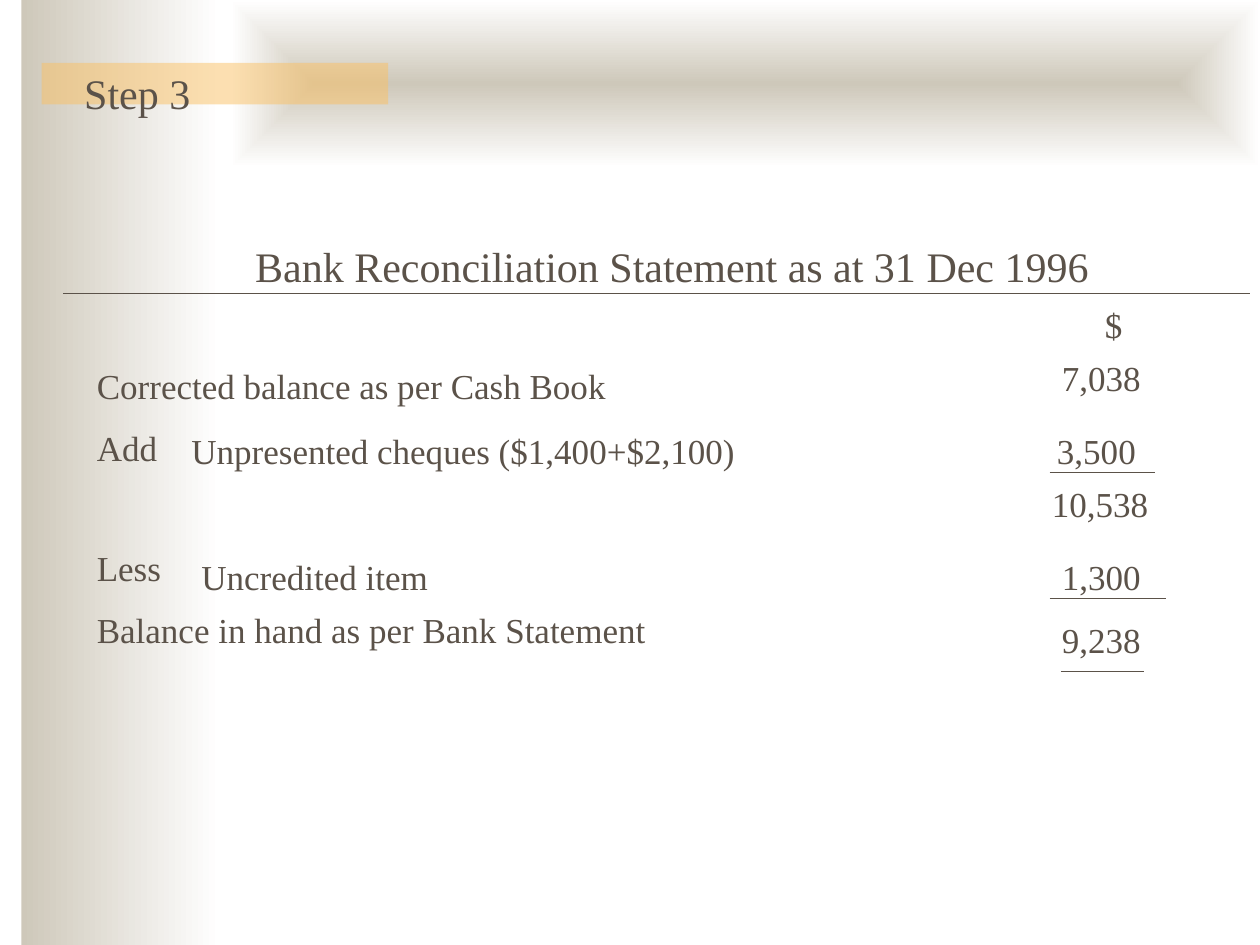
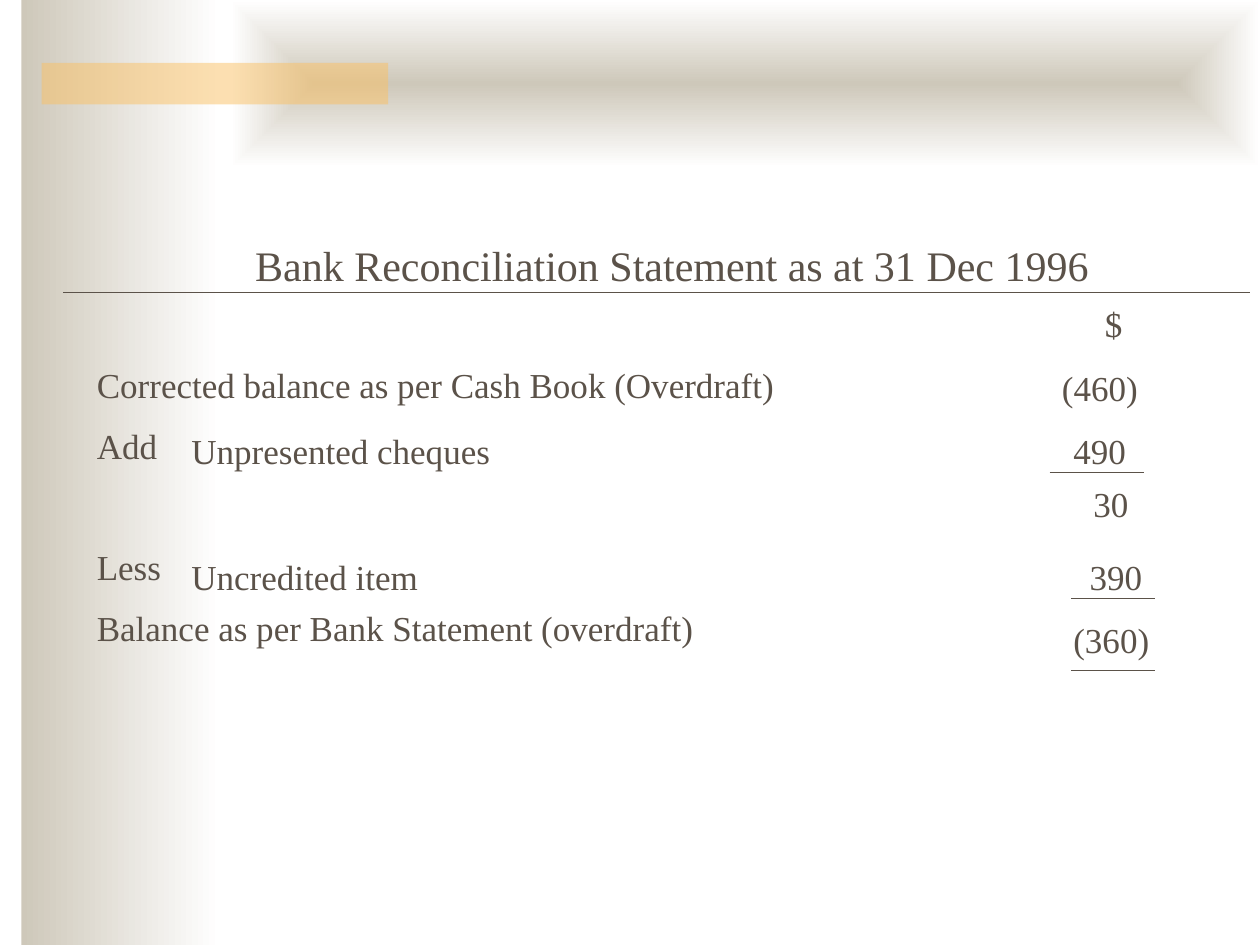
from dataclasses import dataclass

from lxml import etree
from pptx import Presentation
from pptx.dml.color import RGBColor
from pptx.enum.shapes import MSO_CONNECTOR, MSO_SHAPE
from pptx.enum.text import MSO_ANCHOR, MSO_AUTO_SIZE, PP_ALIGN
from pptx.oxml.ns import qn
from pptx.util import Inches, Pt

RECTANGLE = MSO_SHAPE.RECTANGLE
STRAIGHT = MSO_CONNECTOR.STRAIGHT
TOP = MSO_ANCHOR.TOP
NO_AUTOFIT = MSO_AUTO_SIZE.NONE
LEFT, CENTER = PP_ALIGN.LEFT, PP_ALIGN.CENTER

COLORS = {"ink": "5B5249", "stone": "CEC8BA", "white": "FFFFFF", "amber": "FAC164"}
FONT = "Times New Roman"
HEADING_SIZE, BODY_SIZE = 24, 20
TITLE_ONLY_LAYOUT = 5
ROW_GAP = 11  # points between statement rows
SKIPPED_ROW = 34  # points taken by the subtotal row, which has no label
SIDE_INSET = 0.1
STATEMENT = "Bank Reconciliation Statement as at 31 Dec 1996"


@dataclass
class Label:
    """A row label in the main column, with its gap above in points."""
    text: str
    space_before: int = ROW_GAP


@dataclass
class Amount:
    """A figure standing alone in the money column."""
    text: str
    left: float
    top: float


@dataclass
class Detail:
    """An adjustment: its name, then its figure at a tab stop."""
    name: str
    figure: str
    left: float
    top: float
    figure_left: float


@dataclass
class Rule:
    """A horizontal line under a figure."""
    left: float
    right: float
    top: float


@dataclass
class Statement:
    """Everything that one reconciliation slide shows."""
    heading_top: float
    labels: list[Label]
    details: list[Detail]
    amounts: list[Amount]
    rules: list[Rule]
    step: str = ""


STATEMENTS = [
    Statement(
        heading_top=1.83,
        labels=[
            Label("Corrected balance as per Cash Book"),
            Label("Add"),
            Label("Less", ROW_GAP + SKIPPED_ROW),
            Label("Balance in hand as per Bank Statement"),
        ],
        details=[
            Detail("Unpresented cheques ($1,400+$2,100)", "3,500", 1.42, 3.33, 8.39),
            Detail("Uncredited item", "1,300", 1.5, 4.33, 8.43),
        ],
        amounts=[
            Amount("7,038", 8.33, 2.75),
            Amount("10,538", 8.25, 3.75),
            Amount("9,238", 8.33, 4.83),
        ],
        rules=[Rule(8.33, 9.17, 3.75), Rule(8.33, 9.25, 4.75), Rule(8.42, 9.08, 5.33)],
        step="Step 3",
    ),
    Statement(
        heading_top=1.82,
        labels=[
            Label("Corrected balance as per Cash Book (Overdraft)"),
            Label("Add"),
            Label("Less", ROW_GAP + SKIPPED_ROW),
            Label("Balance as per Bank Statement (overdraft)"),
        ],
        details=[
            Detail("Unpresented cheques", "490", 1.42, 3.33, 8.52),
            Detail("Uncredited item", "390", 1.42, 4.33, 8.65),
        ],
        amounts=[
            Amount("(460)", 8.33, 2.83),
            Amount("30", 8.58, 3.75),
            Amount("(360)", 8.42, 4.83),
        ],
        rules=[Rule(8.33, 9.08, 3.75), Rule(8.5, 9.17, 4.75), Rule(8.5, 9.17, 5.32)],
    ),
]


def color(name: str) -> RGBColor:
    """Look up a palette colour."""
    return RGBColor.from_string(COLORS[name])


def place(shape, left: float, top: float, width: float, height: float) -> None:
    """Move and size a shape, in inches."""
    shape.left, shape.top = Inches(left), Inches(top)
    shape.width, shape.height = Inches(width), Inches(height)


def prepare_frame(shape):
    """Give a shape's text frame the shared insets and return it."""
    frame = shape.text_frame
    frame.word_wrap = True
    frame.auto_size = NO_AUTOFIT
    frame.vertical_anchor = TOP
    frame.margin_left = frame.margin_right = Inches(SIDE_INSET)
    frame.margin_top, frame.margin_bottom = Inches(0.08), Inches(0.02)
    return frame


def write(paragraph, text: str, size: int = BODY_SIZE, align=LEFT, before: int = 0) -> None:
    """Add one styled run to a paragraph."""
    paragraph.alignment = align
    paragraph.space_before = Pt(before)
    run = paragraph.add_run()
    run.text = text
    run.font.name = FONT
    run.font.size = Pt(size)
    run.font.color.rgb = color("ink")


def add_text_box(slide, left: float, top: float, width: float, height: float):
    """Add an empty text box and return its frame."""
    box = slide.shapes.add_textbox(
        Inches(left), Inches(top), Inches(width), Inches(height))
    return prepare_frame(box)


def add_rule(slide, rule: Rule) -> None:
    """Draw a thin horizontal line without a shadow."""
    line = slide.shapes.add_connector(
        STRAIGHT, Inches(rule.left), Inches(rule.top), Inches(rule.right), Inches(rule.top))
    line.line.color.rgb = color("ink")
    line.line.width = Pt(0.75)
    etree.SubElement(line.element.spPr, qn("a:effectLst"))


def add_band(slide, left: float, top: float, width: float, height: float):
    """Add a plain rectangle without outline or shadow."""
    band = slide.shapes.add_shape(
        RECTANGLE, Inches(left), Inches(top), Inches(width), Inches(height))
    band.shadow.inherit = False
    band.line.fill.background()
    return band


def fade(band) -> None:
    """Fill a band from stone on the left to white on the right."""
    band.fill.gradient()
    band.fill.gradient_angle = 0
    for stop, name in zip(band.fill.gradient_stops, ("stone", "white")):
        stop.color.rgb = color(name)


def fade_from_center(band) -> None:
    """Fill a band from stone in the middle to white at its edges."""
    fade(band)
    gradient = band.element.spPr.find(qn("a:gradFill"))
    gradient.remove(gradient.find(qn("a:lin")))
    outline = etree.SubElement(gradient, qn("a:path"), {"path": "shape"})
    etree.SubElement(outline, qn("a:fillToRect"), dict.fromkeys("ltrb", "50000"))


def add_layout_bands(layout, slide) -> None:
    """Draw the background bands and move them into the shared layout."""
    side = add_band(slide, 0.17, 0, 1.58, 7.5)
    fade(side)
    header = add_band(slide, 1.83, 0, 8.17, 1.33)
    fade_from_center(header)
    accent = add_band(slide, 0.33, 0.5, 2.75, 0.33)
    accent.fill.solid()
    accent.fill.fore_color.rgb = color("amber")
    tint = accent.element.spPr.find(f"{qn('a:solidFill')}/{qn('a:srgbClr')}")
    etree.SubElement(tint, qn("a:alpha"), {"val": "50000"})
    for position, band in enumerate((side, header, accent), start=2):
        layout.shapes.element.insert(position, band.element)


def add_heading(slide, top: float) -> None:
    """Set the slide title and the line below it."""
    title = slide.shapes.title
    place(title, 1.92, top, 6.83, 0.5)
    write(prepare_frame(title).paragraphs[0], STATEMENT, HEADING_SIZE, CENTER)
    add_rule(slide, Rule(0.5, 9.92, top + 0.5))


def add_labels(slide, top: float, labels: list[Label]) -> None:
    """Write the currency sign and the row labels in one column."""
    frame = add_text_box(slide, 0.67, top, 9.17, 2.93)
    currency = frame.paragraphs[0]
    write(currency, "$")
    currency._p.get_or_add_pPr().set("marL", str(Inches(8)))
    for label in labels:
        write(frame.add_paragraph(), label.text, before=label.space_before)


def add_detail(slide, detail: Detail) -> None:
    """Write an adjustment and its figure on one line."""
    frame = add_text_box(slide, detail.left, detail.top, 9.5 - detail.left, 0.43)
    paragraph = frame.paragraphs[0]
    write(paragraph, f"{detail.name}\t{detail.figure}")
    tab_list = etree.SubElement(paragraph._p.get_or_add_pPr(), qn("a:tabLst"))
    position = Inches(detail.figure_left - detail.left - SIDE_INSET)
    etree.SubElement(tab_list, qn("a:tab"), {"pos": str(position), "algn": "l"})


def add_statement(slide, statement: Statement) -> None:
    """Draw one whole reconciliation statement."""
    add_heading(slide, statement.heading_top)
    add_labels(slide, statement.heading_top + 0.5, statement.labels)
    for detail in statement.details:
        add_detail(slide, detail)
    for amount in statement.amounts:
        frame = add_text_box(slide, amount.left, amount.top, 1.1, 0.43)
        write(frame.paragraphs[0], amount.text)
    for rule in statement.rules:
        add_rule(slide, rule)
    if statement.step:
        frame = add_text_box(slide, 0.57, 0.46, 1.2, 0.5)
        write(frame.paragraphs[0], statement.step, HEADING_SIZE)


def main() -> None:
    """Build and save the presentation."""
    presentation = Presentation()
    presentation.slide_width, presentation.slide_height = Inches(10), Inches(7.5)
    layout = presentation.slide_layouts[TITLE_ONLY_LAYOUT]
    slides = [presentation.slides.add_slide(layout) for _ in STATEMENTS]
    add_layout_bands(layout, slides[0])
    for slide, statement in zip(slides, STATEMENTS):
        add_statement(slide, statement)
    presentation.save("out.pptx")


main()
